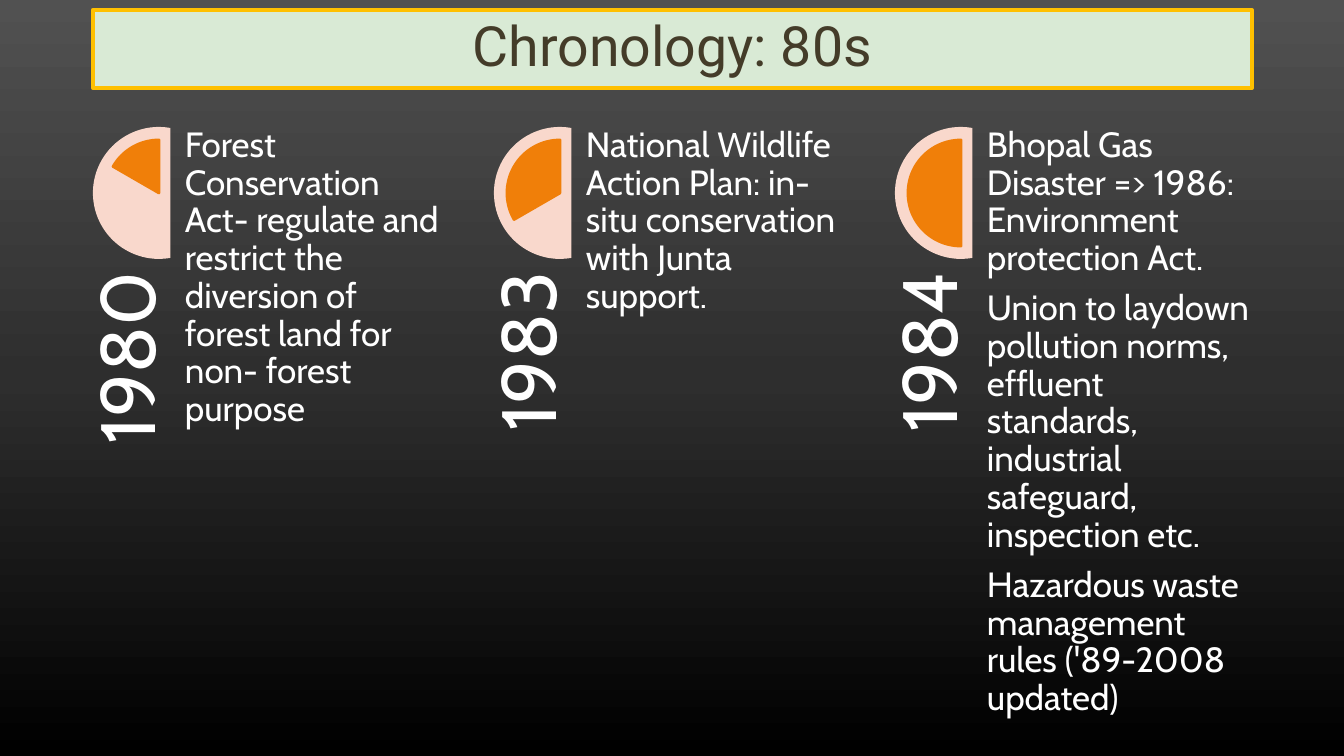
from copy import deepcopy

from pptx import Presentation, util as u
from pptx.dml.color import RGBColor
from pptx.enum import shapes, text
from pptx.oxml.ns import qn

PX = 12192000 / 1344
COLORS = {"pale": "F9D8CC", "orange": "F07F09", "white": "FFFFFF",
          "mint": "D9EAD5", "gold": "FFC000", "brown": "443C29"}
BACKGROUND = [(0, "515151"), (0.5, "2E2E2E"), (1, "000000")]

# year, start angle of the pie, events
COLUMNS = [
    ("1980", 126, ["Forest Conservation Act- regulate and restrict the diversion "
                   "of forest land for non- forest purpose"]),
    ("1983", 90, ["National Wildlife Action Plan: in-situ conservation with Junta support."]),
    ("1984", 54, ["Bhopal Gas Disaster => 1986: Environment protection Act.",
                  "Union to laydown pollution norms, effluent standards, "
                  "industrial safeguard, inspection etc.",
                  "Hazardous waste management rules ('89-2008 updated)"]),
]
LEFT, TOP, STEP = 93, 127, 401


def box(*lengths):
    return [u.Emu(round(n * PX)) for n in lengths]


def write(tf, paragraphs, font, size, color, align):
    for i, words in enumerate(paragraphs):
        p = tf.paragraphs[0] if i == 0 else tf.add_paragraph()
        p.alignment = align
        p.line_spacing = 0.9
        p.space_before = u.Pt(0)
        p.space_after = u.Pt(size * 0.35)
        r = p.add_run()
        r.text = words
        r.font.name = font
        r.font.size = u.Pt(size)
        r.font.color.rgb = RGBColor.from_string(COLORS[color])


prs = Presentation()
prs.slide_width, prs.slide_height = box(1344, 756)
s = prs.slides.add_slide(prs.slide_layouts[5])

# Background
fill = s.background.fill
fill.gradient()
fill.gradient_angle = 270
stop_list = s._element.find(".//" + qn("a:gsLst"))
stop_list.append(deepcopy(stop_list[-1]))
for stop, (position, color) in zip(fill.gradient_stops, BACKGROUND):
    stop.position = position
    stop.color.rgb = RGBColor.from_string(color)

# Title
title = s.shapes.title
title.left, title.top, title.width, title.height = box(93, 10, 1159, 78)
title.fill.solid()
title.fill.fore_color.rgb = RGBColor.from_string(COLORS["mint"])
title.line.color.rgb = RGBColor.from_string(COLORS["gold"])
title.line.width = u.Pt(3)
tf = title.text_frame
tf.auto_size = text.MSO_AUTO_SIZE.NONE
tf.vertical_anchor = text.MSO_ANCHOR.MIDDLE
write(tf, ["Chronology: 80s"], "Roboto", 39.6, "brown", text.PP_ALIGN.CENTER)
tf.paragraphs[0].space_after = u.Pt(0)

# Timeline columns
for i, (year, pie_start, events) in enumerate(COLUMNS):
    x = LEFT + i * STEP
    for kind, inset, size, start, end, color in [
        (shapes.MSO_SHAPE.CHORD, 0, 132, 48, 168, "pale"),
        (shapes.MSO_SHAPE.PIE, 13, 106, pie_start, 162, "orange"),
    ]:
        sp = s.shapes.add_shape(kind, *box(x + inset, TOP + inset, size, size))
        sp.adjustments[0], sp.adjustments[1] = start, end
        sp.shadow.inherit = False
        sp.fill.solid()
        sp.fill.fore_color.rgb = RGBColor.from_string(COLORS[color])
        if color == "orange":
            sp.line.color.rgb = RGBColor.from_string(COLORS[color])
            sp.line.width = u.Pt(2)
        else:
            sp.line.fill.background()

    for place, turn, anchor, words, size, align in [
        ((x - 152, 423, 383, 80), 270, text.MSO_ANCHOR.BOTTOM, [year], 55, text.PP_ALIGN.RIGHT),
        ((x + 92, TOP, 264, 528), 0, text.MSO_ANCHOR.TOP, events, 25, text.PP_ALIGN.LEFT),
    ]:
        sp = s.shapes.add_textbox(*box(*place))
        sp.rotation = turn
        tf = sp.text_frame
        tf.word_wrap = True
        tf.vertical_anchor = anchor
        tf.margin_left = tf.margin_top = tf.margin_right = tf.margin_bottom = 0
        write(tf, words, "Cabin", size, "white", align)

prs.save("out.pptx")
